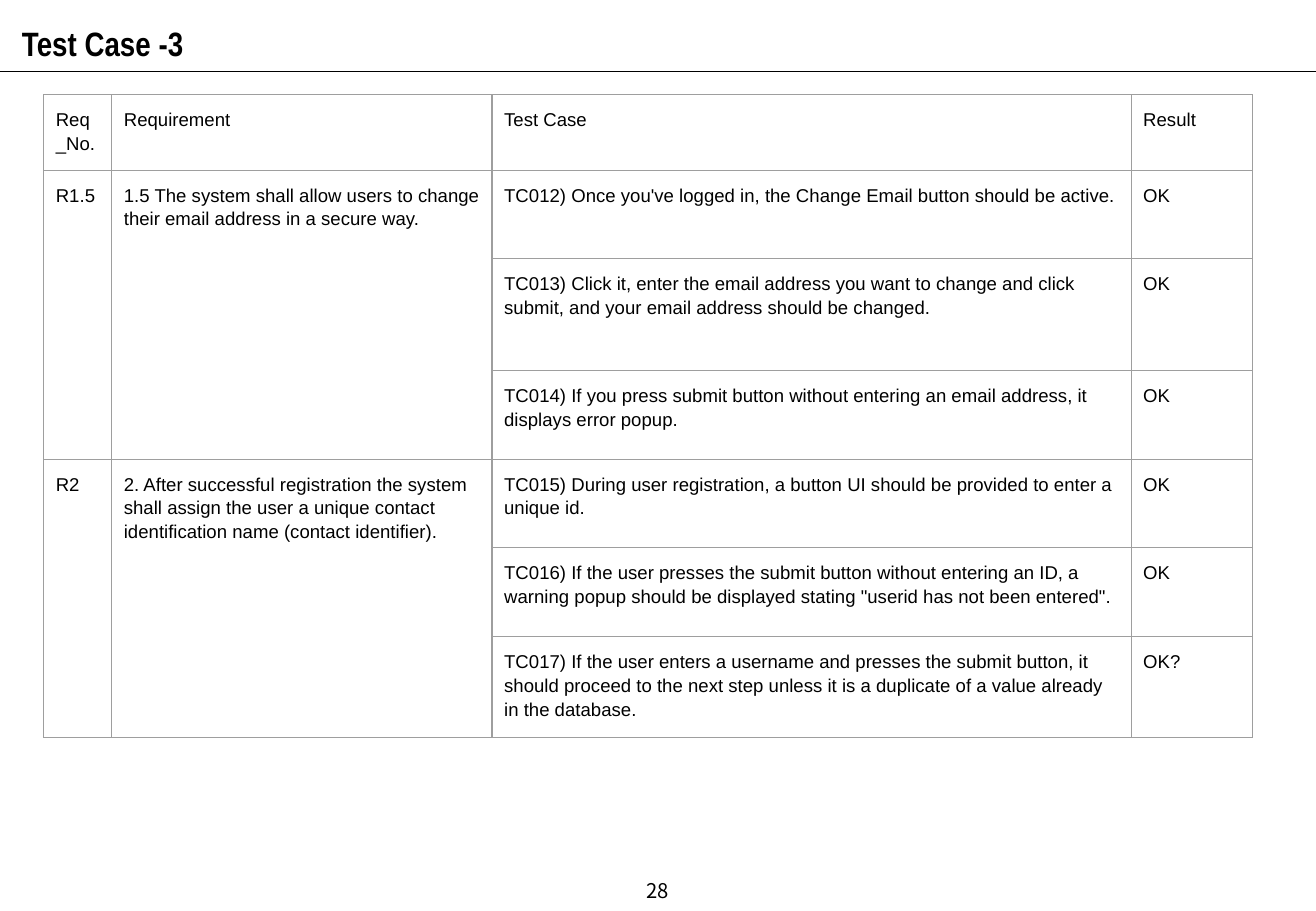
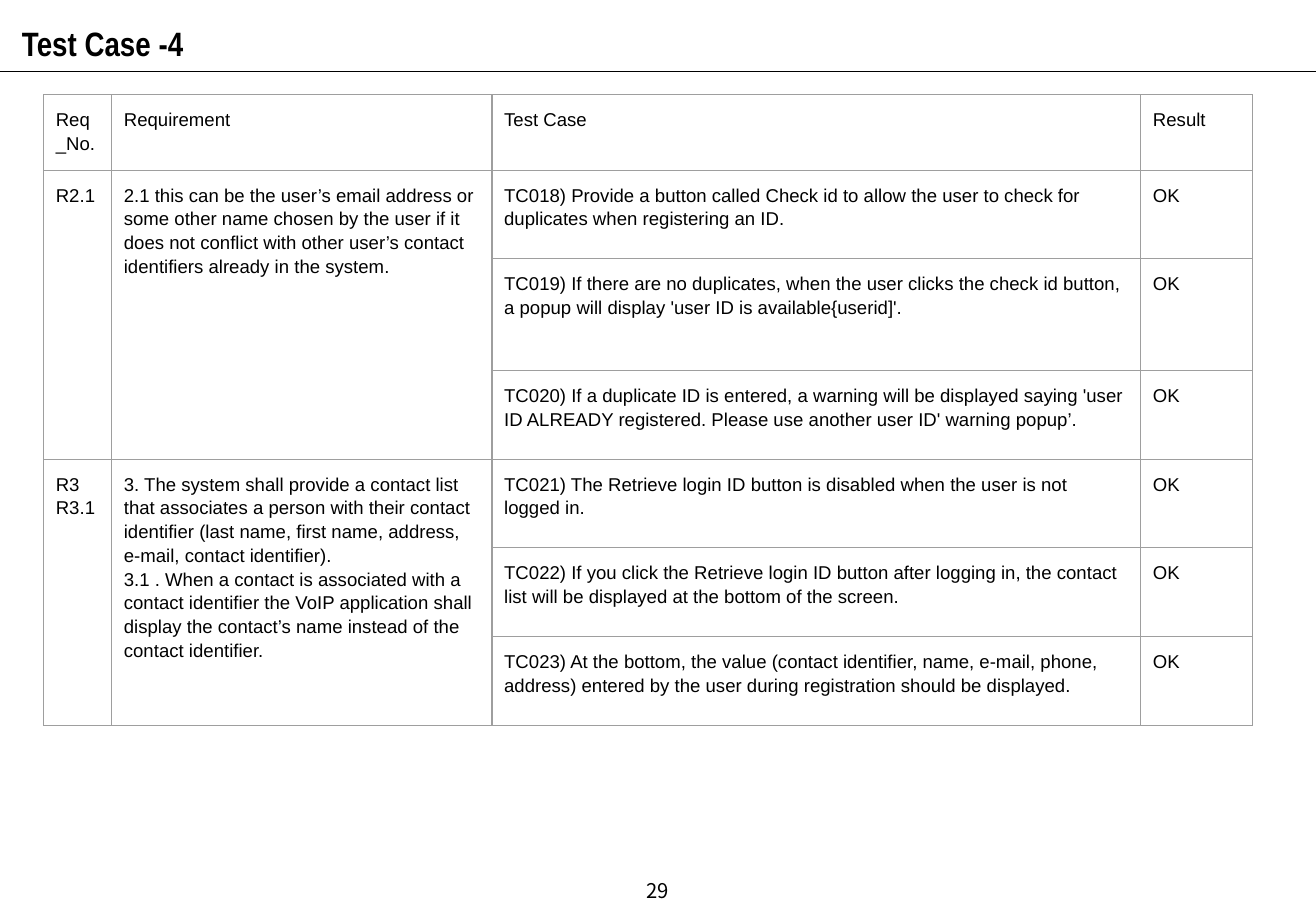
from collections import namedtuple

from lxml.etree import SubElement
from pptx import Presentation
from pptx.dml.color import RGBColor
from pptx.enum.shapes import MSO_CONNECTOR
from pptx.enum.text import MSO_ANCHOR, MSO_AUTO_SIZE, PP_ALIGN
from pptx.oxml.ns import qn
from pptx.util import Inches, Pt

BLACK = RGBColor(0x00, 0x00, 0x00)
GRAY = RGBColor(0x9E, 0x9E, 0x9E)
WIDTH, HEIGHT = Inches(10.83), Inches(7.5)

Box = namedtuple("Box", "left top width height")
TITLE_BOX = (0.74, 0.93, 72.11, 5.87)
RULE_BOX = (0, 7.87, 100, 0)
TABLE_BOX = (3.32, 10.4, 91.87, 68.13)
PAGE_BOX = (38.32, 95.07, 23.36, 5.33)

TITLE_FONT = {"name": "Arial Narrow", "size": Pt(20), "bold": True}
CELL_FONT = {"name": "Arial", "size": Pt(11), "bold": False}
PAGE_FONT = {"name": "Noto Sans CJK KR", "size": Pt(12), "bold": False}
CELL_FORMAT = {f"margin_{side}": Inches(0.1)
               for side in ("left", "right", "top", "bottom")}
TITLE_FORMAT = {"word_wrap": True, "vertical_anchor": MSO_ANCHOR.TOP,
                "auto_size": MSO_AUTO_SIZE.SHAPE_TO_FIT_TEXT}
PAGE_FORMAT = {"word_wrap": True, "vertical_anchor": MSO_ANCHOR.MIDDLE}

HEADER = ("Req_No.", "Requirement", "Test Case", "Result")
ROW_SHARES = (0.54, 0.73, 0.92, 0.73, 0.73, 0.73, 0.73)

SLIDES = [
    {
        "title": "Test Case -3",
        "page": "28",
        "col_shares": (0.56, 3.13, 5.26, 1),
        "groups": [
            ("R1.5",
             "1.5 The system shall allow users to change their email address in a secure way.",
             [("TC012) Once you've logged in, the Change Email button should be active.", "OK"),
              ("TC013) Click it, enter the email address you want to change and click submit, "
               "and your email address should be changed.", "OK"),
              ("TC014) If you press submit button without entering an email address, "
               "it displays error popup.", "OK")]),
            ("R2",
             "2. After successful registration the system shall assign the user a unique "
             "contact identification name (contact identifier).",
             [("TC015) During user registration, a button UI should be provided to enter "
               "a unique id.", "OK"),
              ("TC016) If the user presses the submit button without entering an ID, a warning "
               "popup should be displayed stating \"userid has not been entered\".", "OK"),
              ("TC017) If the user enters a username and presses the submit button, it should "
               "proceed to the next step unless it is a duplicate of a value already in the "
               "database.", "OK?")]),
        ],
    },
    {
        "title": "Test Case -4",
        "page": "29",
        "col_shares": (0.56, 3.13, 5.34, 0.92),
        "groups": [
            ("R2.1",
             "2.1 this can be the user’s email address or some other name chosen by the user "
             "if it does not conflict with other user’s contact identifiers already in the "
             "system.",
             [("TC018) Provide a button called Check id to allow the user to check for "
               "duplicates when registering an ID.", "OK"),
              ("TC019) If there are no duplicates, when the user clicks the check id button, "
               "a popup will display 'user ID is available{userid]'.", "OK"),
              ("TC020) If a duplicate ID is entered, a warning will be displayed saying 'user "
               "ID ALREADY registered. Please use another user ID' warning popup’.", "OK")]),
            ("R3\nR3.1",
             "3. The system shall provide a contact list that associates a person with their "
             "contact identifier (last name, first name, address, e-mail, contact identifier).\n"
             "3.1 . When a contact is associated with a contact identifier the VoIP application "
             "shall display the contact’s name instead of the contact identifier.",
             [("TC021) The Retrieve login ID button is disabled when the user is not "
               "logged in.", "OK"),
              ("TC022) If you click the Retrieve login ID button after logging in, the contact "
               "list will be displayed at the bottom of the screen.", "OK"),
              ("TC023) At the bottom, the value (contact identifier, name, e-mail, phone, "
               "address) entered by the user during registration should be displayed.", "OK")]),
        ],
    },
]


def percent_box(left, top, width, height):
    return Box(int(WIDTH * left / 100), int(HEIGHT * top / 100),
               int(WIDTH * width / 100), int(HEIGHT * height / 100))


def set_all(obj, values):
    for name, value in values.items():
        setattr(obj, name, value)


def write(tf, text, font, align=PP_ALIGN.LEFT, spacing=1.0):
    tf.text = text
    for p in tf.paragraphs:
        set_all(p, {"alignment": align, "line_spacing": spacing,
                    "space_before": Pt(0)})
        for r in p.runs:
            set_all(r.font, font)
            r.font.color.rgb = BLACK


def add_title(s, box, text):
    sp = s.shapes.title
    set_all(sp, box._asdict())
    set_all(sp.text_frame, TITLE_FORMAT)
    write(sp.text_frame, text, TITLE_FONT, spacing=1.2)


def add_rule(s, box):
    rule = s.shapes.add_connector(MSO_CONNECTOR.STRAIGHT, box.left, box.top,
                                  box.left + box.width, box.top + box.height)
    rule.line.color.rgb = BLACK
    rule.line.width = Pt(0.75)
    SubElement(rule._element.spPr, qn("a:effectLst"))


def add_page_number(s, box, text):
    tf = s.shapes.add_textbox(*box).text_frame
    set_all(tf, PAGE_FORMAT)
    write(tf, text, PAGE_FONT, align=PP_ALIGN.CENTER)


def format_cell(cell):
    set_all(cell, CELL_FORMAT)
    tc_pr = cell._tc.get_or_add_tcPr()
    for side in ("L", "R", "T", "B"):
        ln = SubElement(tc_pr, qn(f"a:ln{side}"), w=str(Pt(0.75)))
        fill = SubElement(ln, qn("a:solidFill"))
        SubElement(fill, qn("a:srgbClr"), val=str(GRAY))
    cell.fill.background()


def add_test_table(s, box, col_shares, groups):
    table = s.shapes.add_table(len(ROW_SHARES), len(col_shares), *box).table
    set_all(table, {"first_row": False, "horz_banding": False})
    for col, share in zip(table.columns, col_shares):
        col.width = int(box.width * share / sum(col_shares))
    for row, share in zip(table.rows, ROW_SHARES):
        row.height = int(box.height * share / sum(ROW_SHARES))
    for cell in table.iter_cells():
        format_cell(cell)

    def fill_row(row, first_col, texts):
        for col, text in enumerate(texts, first_col):
            write(table.cell(row, col).text_frame, text, CELL_FONT, spacing=1.15)

    fill_row(0, 0, HEADER)
    top = 1
    for number, requirement, cases in groups:
        for col in (0, 1):
            table.cell(top, col).merge(table.cell(top + len(cases) - 1, col))
        fill_row(top, 0, (number, requirement))
        for row, case in enumerate(cases, top):
            fill_row(row, 2, case)
        top += len(cases)


def add_test_slide(prs, title, page, col_shares, groups):
    s = prs.slides.add_slide(prs.slide_layouts.get_by_name("Title Only"))
    add_rule(s, percent_box(*RULE_BOX))
    add_title(s, percent_box(*TITLE_BOX), title)
    add_test_table(s, percent_box(*TABLE_BOX), col_shares, groups)
    add_page_number(s, percent_box(*PAGE_BOX), page)


def main():
    prs = Presentation()
    set_all(prs, {"slide_width": WIDTH, "slide_height": HEIGHT})
    for content in SLIDES:
        add_test_slide(prs, **content)
    prs.save("out.pptx")


if __name__ == "__main__":
    main()
